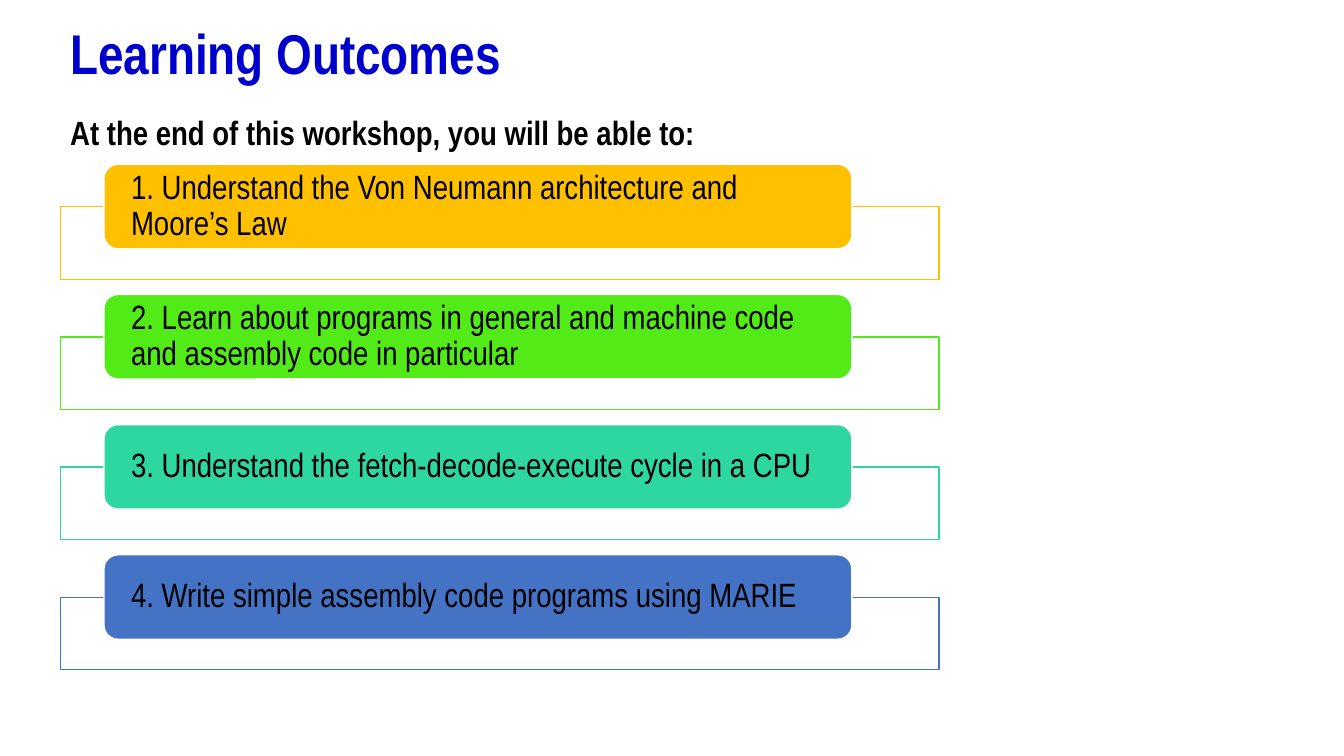
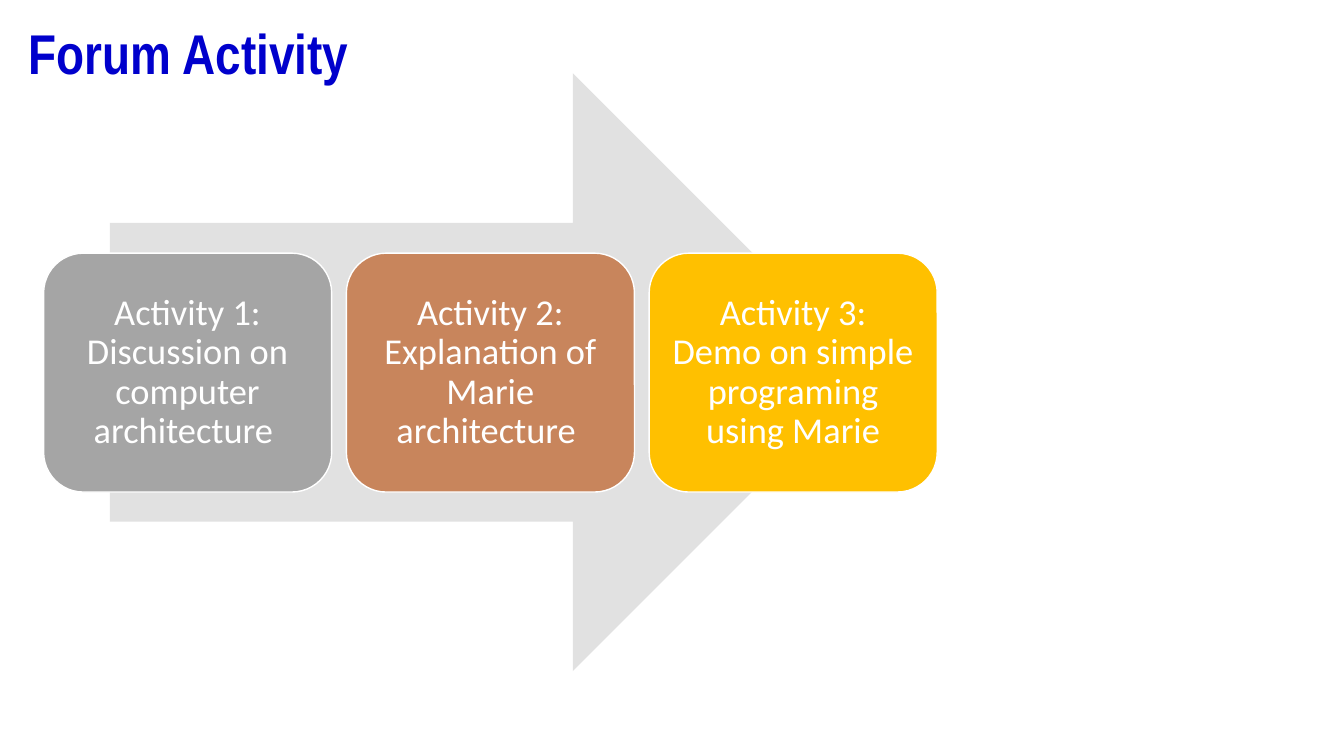
"""Build the workshop's learning outcomes and forum activity slides."""
import dataclasses

import pptx
import pptx.dml.color
import pptx.enum.shapes
import pptx.enum.text
import pptx.util

Cm = pptx.util.Cm
Pt = pptx.util.Pt
ShapeKind = pptx.enum.shapes.MSO_SHAPE
Align = pptx.enum.text.PP_ALIGN
Anchor = pptx.enum.text.MSO_ANCHOR


@dataclasses.dataclass(frozen=True)
class Theme:
    heading_font: str = "Arial Narrow"
    card_font: str = "Calibri"
    title_size: int = 40
    body_size: int = 24
    card_size: int = 26
    title_color: str = "0000CC"
    text_color: str = "000000"
    white: str = "FFFFFF"
    arrow_color: str = "E1E1E1"
    outcome_colors: tuple = ("FFC000", "53EB17", "2ED7A1", "4472C4")
    activity_colors: tuple = ("A5A5A5", "C8855C", "FFC000")


def rgb(color):
    return pptx.dml.color.RGBColor.from_string(color)


def apply_format(target, values):
    for name, value in values.items():
        setattr(target, name, value)


class Deck:
    def __init__(self, theme):
        self.theme = theme
        self.presentation = pptx.Presentation()
        apply_format(self.presentation, {"slide_width": Cm(33.87), "slide_height": Cm(19.05)})
        self.slide = None

    def add_slide(self, title, left):
        self.slide = self.presentation.slides.add_slide(self.presentation.slide_layouts[6])
        theme = self.theme
        self.add_label(title, (left, 0.53, 20.7, 2.06), theme.title_size, theme.title_color, 0.9)

    def set_text(self, shape, text, font, color, frame, paragraph):
        text_frame = shape.text_frame
        apply_format(text_frame, {"word_wrap": True, **frame})
        text_frame.text = text
        first = text_frame.paragraphs[0]
        apply_format(first, paragraph)
        for run in first.runs:
            apply_format(run.font, font)
            run.font.color.rgb = rgb(color)

    def add_label(self, text, box, size, color, line_spacing=1.0):
        label = self.slide.shapes.add_textbox(*map(Cm, box))
        font = {"name": self.theme.heading_font, "size": Pt(size), "bold": True}
        self.set_text(label, text, font, color, {}, {"line_spacing": line_spacing})

    def add_shape(self, kind, box, fill, line=None):
        shape = self.slide.shapes.add_shape(kind, *map(Cm, box))
        shape.shadow.inherit = False
        shape.fill.solid()
        shape.fill.fore_color.rgb = rgb(fill)
        if line:
            shape.line.color.rgb = rgb(line)
            shape.line.width = Pt(1)
        else:
            shape.line.fill.background()
        return shape

    def add_outcome(self, text, top, color):
        theme = self.theme
        self.add_shape(ShapeKind.RECTANGLE, (1.52, top + 1.07, 22.15, 1.83), theme.white, color)
        pill = self.add_shape(ShapeKind.ROUNDED_RECTANGLE, (2.62, top, 18.85, 2.13), color, theme.white)
        self.set_text(
            pill, text,
            {"name": theme.heading_font, "size": Pt(theme.body_size)}, theme.text_color,
            {"vertical_anchor": Anchor.MIDDLE, "margin_left": Cm(0.58), "margin_right": Cm(0.58),
             "margin_top": 0, "margin_bottom": 0},
            {"alignment": Align.LEFT, "line_spacing": 0.9},
        )

    def add_activity(self, text, left, color):
        theme = self.theme
        card = self.add_shape(ShapeKind.ROUNDED_RECTANGLE, (left, 6.38, 7.26, 6.02), color, theme.white)
        self.set_text(
            card, text,
            {"name": theme.card_font, "size": Pt(theme.card_size)}, theme.white,
            {"vertical_anchor": Anchor.MIDDLE, "margin_left": Cm(0.25), "margin_right": Cm(0.25),
             "margin_top": Cm(0.28), "margin_bottom": Cm(0.28)},
            {"alignment": Align.CENTER, "line_spacing": 0.9},
        )


def build_outcomes(deck):
    theme = deck.theme
    deck.add_slide("Learning Outcomes", 1.52)
    deck.add_label("At the end of this workshop, you will be able to:",
                   (1.52, 2.69, 20.7, 1.27), theme.body_size, theme.text_color)
    outcomes = (
        "1. Understand the Von Neumann architecture and Moore’s Law",
        "2. Learn about programs in general and machine code and assembly code in particular",
        "3. Understand the fetch-decode-execute cycle in a CPU",
        "4. Write simple assembly code programs using MARIE",
    )
    for index, (text, color) in enumerate(zip(outcomes, theme.outcome_colors)):
        deck.add_outcome(text, 4.14 + 3.28 * index, color)


def build_activities(deck):
    theme = deck.theme
    deck.add_slide("Forum Activity", 0.48)
    deck.add_shape(ShapeKind.RIGHT_ARROW, (2.77, 1.85, 19.2, 15.06), theme.arrow_color)
    activities = (
        "Activity 1:\vDiscussion on computer architecture ",
        "Activity 2:\vExplanation of Marie architecture ",
        "Activity 3:\vDemo on simple programing using Marie",
    )
    for index, (text, color) in enumerate(zip(activities, theme.activity_colors)):
        deck.add_activity(text, 1.1 + 7.63 * index, color)


def main():
    deck = Deck(Theme())
    build_outcomes(deck)
    build_activities(deck)
    deck.presentation.save("out.pptx")


if __name__ == "__main__":
    main()
